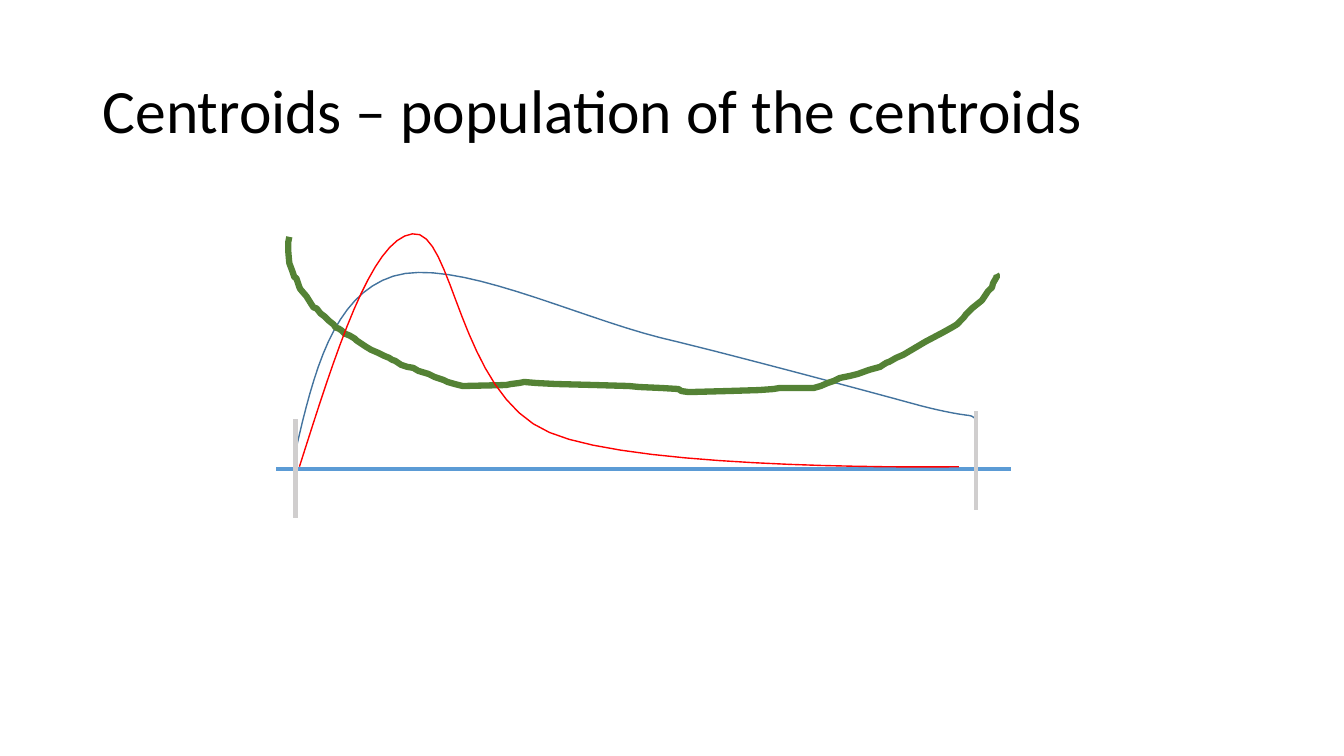
import lxml.etree
import pptx
import pptx.dml.color
import pptx.enum.shapes
import pptx.enum.text
import pptx.oxml.ns
import pptx.util

CM_PER_INCH = 2.54
CURVE_STEPS = 16

TITLE = "Centroids – population of the centroids"
TITLE_BOX = (0.92, 0.4, 11.5, 1.45)
TITLE_FONT = {"name": "Calibri", "size": pptx.util.Pt(44)}

AXIS = [(2.74, 4.65), (10.03, 4.65)]
LEFT_LIMIT = [(2.93, 4.16), (2.93, 5.14)]
RIGHT_LIMIT = [(9.68, 4.08), (9.68, 5.06)]

BROAD_CURVE = [
    (2.93, 4.48), (3.11, 3.7), (3.3, 2.93), (3.9, 2.74),
    (4.5, 2.55), (5.68, 3.13), (6.55, 3.35),
    (7.43, 3.56), (9.15, 4.03), (9.15, 4.03),
    (9.67, 4.16), (9.6, 4.09), (9.68, 4.16),
]
NARROW_CURVE = [
    (2.97, 4.63), (3.33, 3.5), (3.68, 2.37), (4.09, 2.32),
    (4.5, 2.26), (4.54, 3.91), (5.45, 4.29),
    (6.35, 4.68), (9.51, 4.63), (9.51, 4.63),
]
HAND_DRAWN = [
    (2.87, 2.35), (2.86, 2.4), (2.86, 2.5), (2.87, 2.61), (2.9, 2.69), (2.92, 2.75),
    (2.94, 2.76), (2.97, 2.85), (2.98, 2.87), (3.04, 2.94), (3.09, 3.02),
    (3.11, 3.05), (3.14, 3.06), (3.18, 3.11), (3.22, 3.14), (3.24, 3.16),
    (3.26, 3.18), (3.31, 3.22), (3.33, 3.25), (3.36, 3.26), (3.39, 3.28),
    (3.42, 3.31), (3.47, 3.33), (3.52, 3.36), (3.54, 3.38), (3.57, 3.4),
    (3.63, 3.44), (3.68, 3.47), (3.75, 3.5), (3.81, 3.53), (3.86, 3.55),
    (3.89, 3.57), (3.92, 3.58), (3.98, 3.62), (4.04, 3.64), (4.1, 3.65),
    (4.15, 3.68), (4.25, 3.71), (4.31, 3.74), (4.34, 3.75), (4.37, 3.76),
    (4.4, 3.77), (4.44, 3.79), (4.51, 3.81), (4.59, 3.83), (5.02, 3.82),
    (5.07, 3.81), (5.15, 3.8), (5.2, 3.79), (5.32, 3.8), (5.51, 3.81),
    (5.9, 3.82), (6.24, 3.83), (6.34, 3.84), (6.57, 3.85), (6.73, 3.86),
    (6.76, 3.88), (6.83, 3.89), (7.21, 3.88), (7.53, 3.87), (7.67, 3.86),
    (7.73, 3.85), (8.07, 3.85), (8.14, 3.83), (8.21, 3.8), (8.27, 3.78),
    (8.33, 3.75), (8.43, 3.73), (8.51, 3.71), (8.62, 3.67), (8.73, 3.64),
    (8.79, 3.6), (8.82, 3.59), (8.89, 3.55), (8.96, 3.52), (9.18, 3.39),
    (9.35, 3.3), (9.44, 3.25), (9.49, 3.22), (9.53, 3.18), (9.56, 3.15),
    (9.58, 3.12), (9.64, 3.06), (9.74, 2.98), (9.8, 2.89), (9.84, 2.85),
    (9.85, 2.81), (9.89, 2.74), (9.88, 2.72),
]

STROKES = [
    ("straight", AXIS, "5B9BD5", 3),
    ("bezier", BROAD_CURVE, "43739E", 1),
    ("straight", LEFT_LIMIT, "D0CECE", 3),
    ("straight", RIGHT_LIMIT, "D0CECE", 3),
    ("polyline", HAND_DRAWN, "548235", 4.5),
    ("bezier", NARROW_CURVE, "FF0000", 1),
]


def length(inches):
    return pptx.util.Cm(inches * CM_PER_INCH)


def set_color(color_format, value):
    color_format.rgb = pptx.dml.color.RGBColor.from_string(value)


def set_attributes(target, values):
    for name, value in values.items():
        setattr(target, name, value)


def bezier_points(controls):
    points = [controls[0]]
    for first in range(0, len(controls) - 1, 3):
        segment = controls[first:first + 4]
        for step in range(1, CURVE_STEPS + 1):
            t = step / CURVE_STEPS
            weights = ((1 - t) ** 3, 3 * t * (1 - t) ** 2, 3 * t ** 2 * (1 - t), t ** 3)
            points.append(tuple(
                sum(weight * point[axis] for weight, point in zip(weights, segment))
                for axis in (0, 1)
            ))
    return points


def add_straight(slide, points):
    (x1, y1), (x2, y2) = points
    connector = slide.shapes.add_connector(
        pptx.enum.shapes.MSO_CONNECTOR.STRAIGHT,
        length(x1), length(y1), length(x2), length(y2),
    )
    properties = connector.element.find(pptx.oxml.ns.qn("p:spPr"))
    connector.line.width = pptx.util.Pt(1)
    lxml.etree.SubElement(properties, pptx.oxml.ns.qn("a:effectLst"))
    return connector


def add_outline(slide, points):
    vertices = [(length(x), length(y)) for x, y in points]
    builder = slide.shapes.build_freeform(*vertices[0])
    builder.add_line_segments(vertices[1:], close=False)
    shape = builder.convert_to_shape()
    shape.fill.background()
    shape.shadow.inherit = False
    return shape


def add_stroke(slide, kind, points, color, width):
    if kind == "straight":
        stroke = add_straight(slide, points)
    else:
        stroke = add_outline(slide, bezier_points(points) if kind == "bezier" else points)
    set_color(stroke.line.color, color)
    stroke.line.width = pptx.util.Pt(width)


def add_title(slide):
    shape = slide.shapes.add_textbox(*map(length, TITLE_BOX))
    set_attributes(shape.text_frame, {
        "word_wrap": True,
        "vertical_anchor": pptx.enum.text.MSO_ANCHOR.MIDDLE,
    })
    paragraph = shape.text_frame.paragraphs[0]
    paragraph.line_spacing = 0.9
    run = paragraph.add_run()
    run.text = TITLE
    set_attributes(run.font, TITLE_FONT)
    set_color(run.font.color, "000000")


def main():
    presentation = pptx.Presentation()
    set_attributes(presentation, {"slide_width": length(13.33), "slide_height": length(7.5)})
    slide = presentation.slides.add_slide(presentation.slide_layouts[6])
    add_title(slide)
    for stroke in STROKES:
        add_stroke(slide, *stroke)
    presentation.save("out.pptx")


if __name__ == "__main__":
    main()
